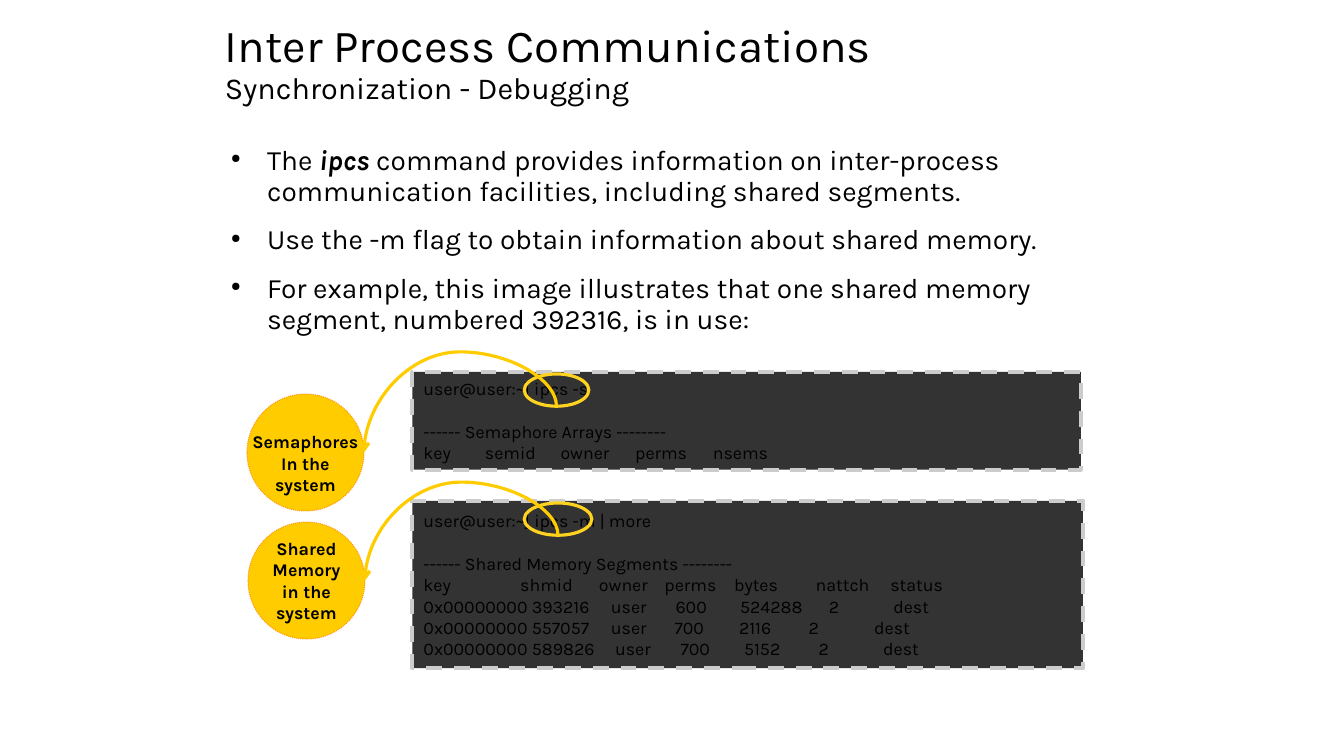
from dataclasses import dataclass

from lxml import etree
from pptx import Presentation
from pptx.dml.color import RGBColor
from pptx.enum.dml import MSO_LINE
from pptx.enum.shapes import MSO_CONNECTOR, MSO_SHAPE
from pptx.enum.text import MSO_ANCHOR, PP_ALIGN
from pptx.oxml.ns import qn
from pptx.util import Inches, Pt

RECT, OVAL = MSO_SHAPE.RECTANGLE, MSO_SHAPE.OVAL
CURVE = MSO_CONNECTOR.CURVE
DASH, DOT = MSO_LINE.DASH, MSO_LINE.ROUND_DOT
MIDDLE, TOP = MSO_ANCHOR.MIDDLE, MSO_ANCHOR.TOP
LEFT, CENTER = PP_ALIGN.LEFT, PP_ALIGN.CENTER


@dataclass(frozen=True)
class Theme:
    font: str = "Karla"
    ink: str = "000000"
    panel: str = "333333"
    frame: str = "CCCCCC"
    badge: str = "FFCC00"
    rim: str = "FF950E"
    ring: str = "FFD320"
    title: float = 32.7
    sub: float = 21.8
    body: float = 20
    code: float = 12.7
    stroke: float = 2.27
    edge: float = 2.83


THEME = Theme()


def color(code):
    return RGBColor.from_string(code)


def add_run(para, text, size, bold=False, italic=False):
    run = para.add_run()
    run.text = text
    font = run.font
    font.name, font.size = THEME.font, Pt(size)
    font.bold, font.italic = bold, italic
    font.color.rgb = color(THEME.ink)


def set_frame(frame, anchor, side=0, top=0, bottom=0, wrap=True):
    frame.word_wrap = wrap
    frame.vertical_anchor = anchor
    frame.margin_left = frame.margin_right = Inches(side)
    frame.margin_top, frame.margin_bottom = Inches(top), Inches(bottom)


def next_para(frame, index, align=LEFT):
    para = frame.add_paragraph() if index else frame.paragraphs[0]
    para.alignment = align
    return para


def add_box(slide, box, anchor):
    frame = slide.shapes.add_textbox(*map(Inches, box)).text_frame
    set_frame(frame, anchor)
    return frame


def add_form(slide, kind, box, fill, line, width, dash=None):
    form = slide.shapes.add_shape(kind, *map(Inches, box))
    form.shadow.inherit = False
    if fill:
        form.fill.solid()
        form.fill.fore_color.rgb = color(fill)
    else:
        form.fill.background()
    form.line.color.rgb = color(line)
    form.line.width = Pt(width)
    if dash:
        form.line.dash_style = dash
    return form


def add_title(slide, box, title, sub):
    para = add_box(slide, box, MIDDLE).paragraphs[0]
    para.line_spacing = 0.9
    add_run(para, title, THEME.title)
    para.add_line_break()
    add_run(para, sub, THEME.sub)


def add_points(slide, box, points):
    frame = add_box(slide, box, TOP)
    for index, parts in enumerate(points):
        para = next_para(frame, index)
        para.line_spacing = 0.91
        para.space_after = Pt(12.9)
        props = para._p.get_or_add_pPr()
        props.set("marL", str(Inches(0.47)))
        props.set("indent", str(-Inches(0.36)))
        etree.SubElement(props, qn("a:buSzPct")).set("val", "45000")
        etree.SubElement(props, qn("a:buChar")).set("char", "●")
        for text, strong in parts:
            add_run(para, text, THEME.body, strong, strong)


def set_tabs(para, stops):
    tabs = etree.SubElement(para._p.get_or_add_pPr(), qn("a:tabLst"))
    for stop in stops:
        tab = etree.SubElement(tabs, qn("a:tab"))
        tab.set("pos", str(Inches(stop)))
        tab.set("algn", "l")


def add_panel(slide, box, prompt, head, rows):
    form = add_form(slide, RECT, box, THEME.panel, THEME.frame, THEME.edge, DASH)
    frame = form.text_frame
    set_frame(frame, MIDDLE, 0.11, 0.06, 0.06)
    add_run(next_para(frame, 0), prompt, THEME.code)
    para = next_para(frame, 1)
    para.space_before = Pt(15.2)
    add_run(para, head, THEME.code)
    for index, (cells, stops) in enumerate(rows, 2):
        para = next_para(frame, index)
        set_tabs(para, stops)
        add_run(para, "\t".join(cells), THEME.code)


def add_badge(slide, box, lines, drop):
    form = add_form(slide, OVAL, box, THEME.badge, THEME.rim, 0, DOT)
    frame = form.text_frame
    set_frame(frame, MIDDLE, top=drop, wrap=False)
    for index, line in enumerate(lines):
        add_run(next_para(frame, index, CENTER), line, THEME.code, True)


def add_arc(slide, start, end):
    wide, high = start[0] - end[0], end[1] - start[1]
    mid_x, mid_y = (start[0] + end[0]) / 2, (start[1] + end[1]) / 2
    ends = (mid_x + high / 2, mid_y + wide / 2, mid_x - high / 2, mid_y - wide / 2)
    arc = slide.shapes.add_connector(CURVE, *map(Inches, ends))
    arc.line.color.rgb = color(THEME.badge)
    arc.line.width = Pt(THEME.stroke)
    props = arc._element.spPr
    props.find(qn("a:xfrm")).set("rot", "16200000")
    guide = etree.SubElement(props.find(qn("a:prstGeom")).find(qn("a:avLst")), qn("a:gd"))
    guide.set("name", "adj1")
    guide.set("fmla", "val -117300")
    etree.SubElement(props.find(qn("a:ln")), qn("a:tailEnd")).set("type", "arrow")
    etree.SubElement(props, qn("a:effectLst"))


def add_callout(slide, badge, ring, lines, drop=0):
    add_badge(slide, badge, lines, drop)
    add_form(slide, OVAL, ring, None, THEME.ring, THEME.stroke)
    start = (ring[0] + ring[2] / 2, ring[1] + ring[3])
    end = (badge[0] + badge[2], badge[1] + badge[3] / 2)
    add_arc(slide, start, end)


def main():
    deck = Presentation()
    deck.slide_width, deck.slide_height = Inches(13.33), Inches(7.5)
    slide = deck.slides.add_slide(deck.slide_layouts[6])
    add_title(slide, (2.23, 0.23, 8.93, 0.82),
              "Inter Process Communications", "Synchronization - Debugging")
    add_points(slide, (2.18, 1.45, 9, 2.16), [
        [("The ", False), ("ipcs", True),
         (" command provides information on inter-process communication "
          "facilities, including shared segments.", False)],
        [("Use the -m flag to obtain information about shared memory.", False)],
        [("For example, this image illustrates that one shared memory segment, "
          "numbered 392316, is in use:", False)],
    ])
    add_panel(slide, (4.09, 3.69, 6.63, 0.97), "user@user:~] ipcs -s",
              "------ Semaphore Arrays --------", [
                  (("key", "semid", "owner", "perms", "nsems"),
                   (0.61, 1.36, 2.1, 2.87)),
              ])
    add_panel(slide, (4.09, 4.97, 6.65, 1.66), "user@user:~] ipcs -m | more",
              "------ Shared Memory Segments --------", [
                  (("key", "shmid", "owner", "perms", "bytes", "nattch", "status"),
                   (0.96, 1.74, 2.39, 3.08, 3.89, 4.63)),
                  (("0x00000000 393216", "user", "600", "524288", "2", "dest"),
                   (1.86, 2.5, 3.14, 4.02, 4.66)),
                  (("0x00000000 557057", "user", "700", "2116", "2", "dest"),
                   (1.86, 2.49, 3.13, 3.82, 4.47)),
                  (("0x00000000 589826", "user", "700", "5152", "2", "dest"),
                   (1.9, 2.55, 3.18, 3.92, 4.56)),
              ])
    add_callout(slide, (2.45, 3.91, 1.16, 1.16), (5.2, 3.71, 0.64, 0.32),
                ("Semaphores", "In the", "system"), 0.21)
    add_callout(slide, (2.46, 5.18, 1.16, 1.16), (5.2, 4.99, 0.67, 0.32),
                ("Shared", "Memory", "in the", "system"))
    deck.save("out.pptx")


if __name__ == "__main__":
    main()
